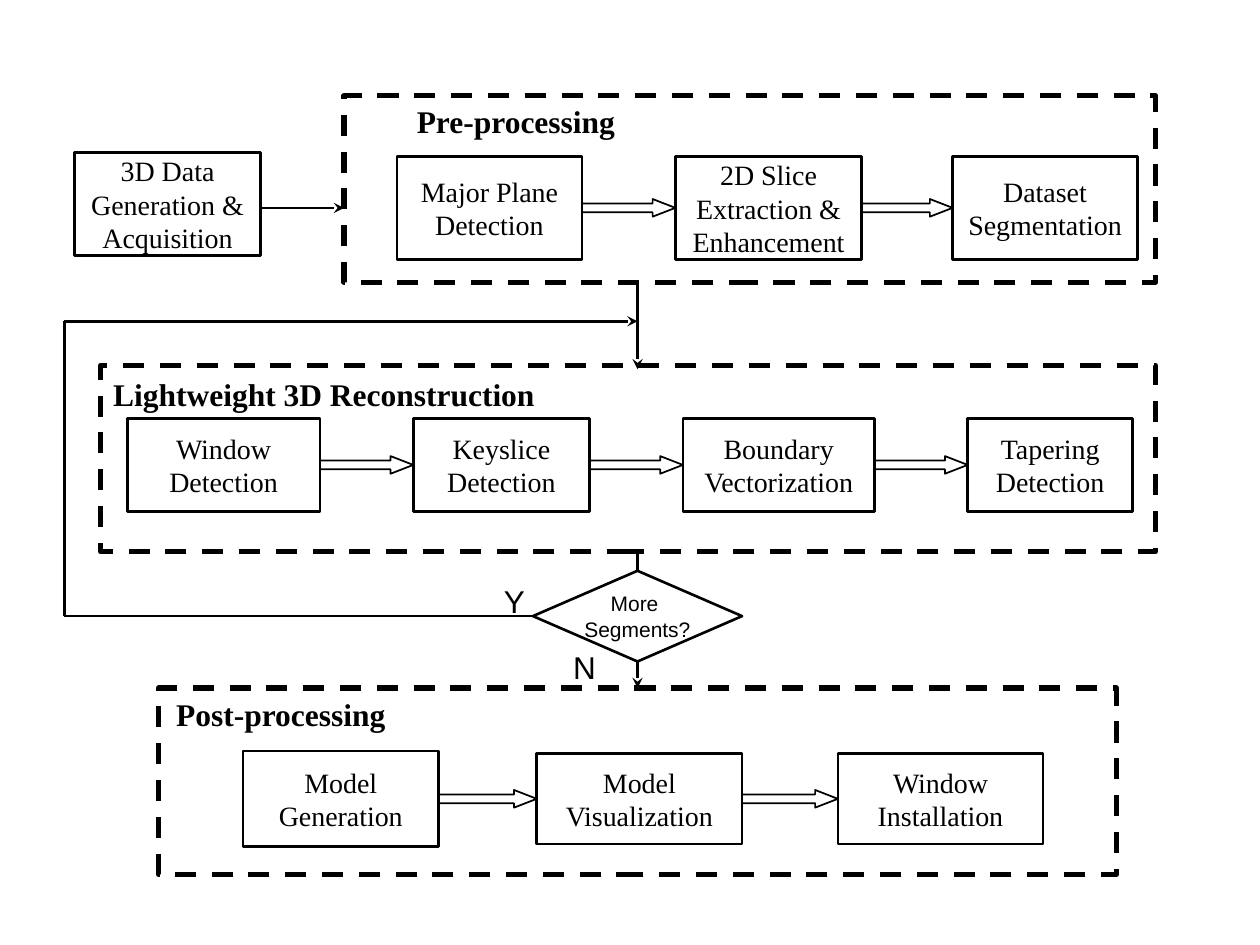
import pptx
import pptx.util
import pptx.dml.color
import pptx.enum.dml
import pptx.enum.shapes
import pptx.enum.text
import pptx.oxml
import pptx.oxml.ns
from lxml import etree

Inches = pptx.util.Inches
Kind = pptx.enum.shapes.MSO_SHAPE
Align = pptx.enum.text.PP_ALIGN
COLORS = {"ink": "000000"}
SERIF = "Times New Roman"
SANS = "Arial"
INK = pptx.dml.color.RGBColor.from_string(COLORS["ink"])
AXIS = 5.06


def write(shape, text, size, face, bold=False, align=Align.CENTER, wrap=True):
    frame = shape.text_frame
    frame.word_wrap = wrap
    frame.text = text
    for para in frame.paragraphs:
        para.alignment = align
        for run in para.runs:
            run.font.size = pptx.util.Pt(size)
            run.font.name = face
            run.font.bold = bold
            run.font.color.rgb = INK


def outline(slide, kind, box, width):
    shape = slide.shapes.add_shape(kind, *map(Inches, box))
    shape.shadow.inherit = False
    shape.fill.background()
    shape.line.color.rgb = INK
    shape.line.width = pptx.util.Pt(width)
    return shape


def label(slide, box, text, face, bold=False):
    shape = slide.shapes.add_textbox(*map(Inches, box))
    write(shape, text, 18, face, bold, Align.LEFT)


def step(slide, box, text):
    shape = outline(slide, Kind.RECTANGLE, box, 1.5)
    write(shape, text, 16, SERIF)
    return shape


def link(slide, start, end, head=False):
    line = slide.shapes.add_connector(
        pptx.enum.shapes.MSO_CONNECTOR.STRAIGHT, *map(Inches, start + end))
    line.line.color.rgb = INK
    line.line.width = pptx.util.Pt(1.5)
    props = line._element.spPr
    if head:
        tip = etree.SubElement(line.line._get_or_add_ln(),
                               pptx.oxml.ns.qn("a:tailEnd"))
        tip.set("type", "stealth")
    etree.SubElement(props, pptx.oxml.ns.qn("a:effectLst"))
    return line


def arrow(slide, left, right, mid):
    thick, tip = 0.14, 0.18
    box = (left, mid - thick / 2, right - left, thick)
    shape = outline(slide, Kind.RIGHT_ARROW, box, 1)
    shape.adjustments[1] = tip / thick


def panel(slide, box, title, inset, mid, steps):
    left, top, width, height = box
    frame = outline(slide, Kind.RECTANGLE, box, 3)
    frame.line.dash_style = pptx.enum.dml.MSO_LINE.DASH
    shift, drop = inset
    label(slide, (left + shift, top + drop, 3.9, 0.4), title, SERIF, True)
    last = None
    for text, start, wide, tall in steps:
        near = left + start
        if last is not None:
            arrow(slide, last, near, top + mid)
        step(slide, (near, top + mid - tall / 2, wide, tall), text)
        last = near + wide
    return frame


def choice(slide, box):
    left, top, width, height = box
    shape = outline(slide, Kind.FLOWCHART_DECISION, box, 1.5)
    write(shape, "More \nSegments?", 12, SANS, wrap=False)
    label(slide, (left - 0.33, top + 0.04, 0.4, 0.4), "Y", SANS)
    label(slide, (left + 0.22, top + 0.56, 0.4, 0.4), "N", SANS)
    return shape


def loop(slide, shape, box):
    left, top, width, height = box
    base = top + height
    out = link(slide, (4.23, base), (left, base))
    out.begin_connect(shape, 1)
    link(slide, (left, base), (left, top))
    link(slide, (left, top), (left + width, top), True)


def main():
    deck = pptx.Presentation()
    deck.slide_width, deck.slide_height = Inches(10), Inches(7.5)
    slide = deck.slides.add_slide(deck.slide_layouts[6])

    step(slide, (0.59, 1.21, 1.48, 0.82), "3D Data\nGeneration & Acquisition")
    panel(slide, (2.73, 0.76, 6.44, 1.48), "Pre-processing", (0.48, 0), 0.89, [
        ("Major Plane Detection", 0.42, 1.47, 0.82),
        ("2D Slice Extraction & Enhancement", 2.63, 1.48, 0.82),
        ("Dataset Segmentation", 4.83, 1.47, 0.82)])
    panel(slide, (0.8, 2.9, 8.37, 1.48), "Lightweight 3D Reconstruction",
          (0, 0.03), 0.79, [
              ("Window Detection", 0.21, 1.53, 0.74),
              ("Keyslice Detection", 2.48, 1.4, 0.74),
              ("Boundary Vectorization", 4.62, 1.52, 0.74),
              ("Tapering Detection", 6.88, 1.31, 0.74)])
    post = panel(slide, (1.26, 5.46, 7.6, 1.48), "Post-processing",
                 (0.04, 0.01), 0.88, [
                     ("Model Generation", 0.67, 1.55, 0.76),
                     ("Model Visualization", 3, 1.63, 0.72),
                     ("Window Installation", 5.39, 1.63, 0.72)])
    query = choice(slide, (4.23, 4.53, 1.66, 0.72))

    link(slide, (2.07, 1.65), (2.73, 1.65), True)
    link(slide, (AXIS, 2.24), (AXIS, 2.93), True)
    enter = link(slide, (AXIS, 4.38), (AXIS, 4.53))
    enter.end_connect(query, 0)
    leave = link(slide, (AXIS, 5.25), (AXIS, 5.46), True)
    leave.begin_connect(query, 2)
    leave.end_connect(post, 0)
    loop(slide, query, (0.51, 2.55, AXIS - 0.51, 2.34))
    deck.save("out.pptx")


if __name__ == "__main__":
    main()
